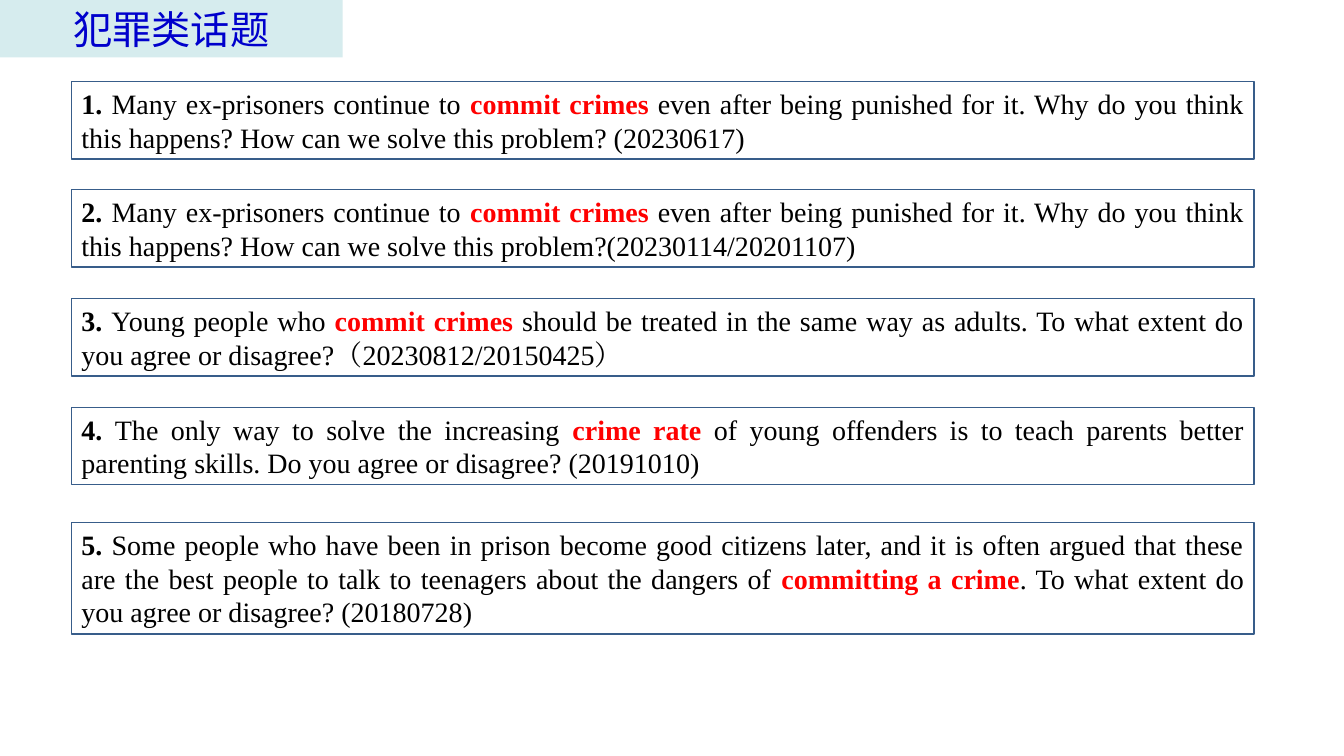
"""Build a slide listing five essay topics about crime."""
from pptx import Presentation
from pptx.dml.color import RGBColor
from pptx.enum.shapes import MSO_SHAPE
from pptx.enum.text import MSO_ANCHOR, MSO_AUTO_SIZE, PP_ALIGN
from pptx.oxml.ns import qn
from pptx.util import Pt

RECT = MSO_SHAPE.RECTANGLE
MIDDLE = MSO_ANCHOR.MIDDLE
GROW = MSO_AUTO_SIZE.SHAPE_TO_FIT_TEXT
CENTER, JUSTIFY = PP_ALIGN.CENTER, PP_ALIGN.JUSTIFY

SERIF, SANS = "Times New Roman", "Noto Sans CJK SC"
BLACK, RED, BLUE = "000000", "FF0000", "0000CC"
TEAL, NAVY = "D6ECEE", "385D8A"

TOPICS = [
    (58.3, 55.4, "Many ex-prisoners continue to ", "commit crimes ",
     "even after being punished for it. Why do you think this happens? "
     "How can we solve this problem? (20230617)"),
    (135.4, 55.4, "Many ex-prisoners continue to ", "commit crimes",
     " even after being punished for it. Why do you think this happens? "
     "How can we solve this problem?(20230114/20201107)"),
    (213.1, 55.4, "Young people who ", "commit crimes",
     " should be treated in the same way as adults. "
     "To what extent do you agree or disagree?（20230812/20150425）"),
    (290.9, 55.4, "The only way to solve the increasing ", "crime rate",
     " of young offenders is to teach parents better parenting skills. "
     "Do you agree or disagree? (20191010)"),
    (373, 79.9, "Some people who have been in prison become good citizens later, "
     "and it is often argued that these are the best people to talk to "
     "teenagers about the dangers of ", "committing a crime",
     ". To what extent do you agree or disagree? (20180728)"),
]


def color(code):
    return RGBColor.from_string(code)


def add_box(left, top, width, height, align, runs):
    box = slide.shapes.add_shape(RECT, Pt(left), Pt(top), Pt(width), Pt(height))
    box.shadow.inherit = False
    frame = box.text_frame
    look = {"word_wrap": True, "auto_size": GROW, "vertical_anchor": MIDDLE}
    for name, value in look.items():
        setattr(frame, name, value)
    para = frame.paragraphs[0]
    para.alignment = align
    for text, font, size, bold, code in runs:
        run = para.add_run()
        run.text = text
        style = {"name": font, "size": Pt(size), "bold": bold}
        for name, value in style.items():
            setattr(run.font, name, value)
        run.font.color.rgb = color(code)
        east = run.font._element.makeelement(qn("a:ea"), {"typeface": font})
        run.font._element.append(east)
    return box


deck = Presentation()
deck.slide_width, deck.slide_height = Pt(960), Pt(540)
slide = deck.slides.add_slide(deck.slide_layouts[6])

for index, (top, height, lead, key, rest) in enumerate(TOPICS, 1):
    runs = [
        (f"{index}. ", SERIF, 20, True, BLACK),
        (lead, SERIF, 20, False, BLACK),
        (key, SERIF, 20, True, RED),
        (rest, SERIF, 20, False, BLACK),
    ]
    topic = add_box(51.1, top, 844.6, height, JUSTIFY, runs)
    topic.fill.background()
    topic.line.color.rgb = color(NAVY)
    topic.line.width = Pt(1)

title = add_box(0, 0, 244.8, 41, CENTER, [("犯罪类话题", SANS, 28, False, BLUE)])
title.fill.solid()
title.fill.fore_color.rgb = color(TEAL)
title.line.fill.background()

deck.save("out.pptx")
